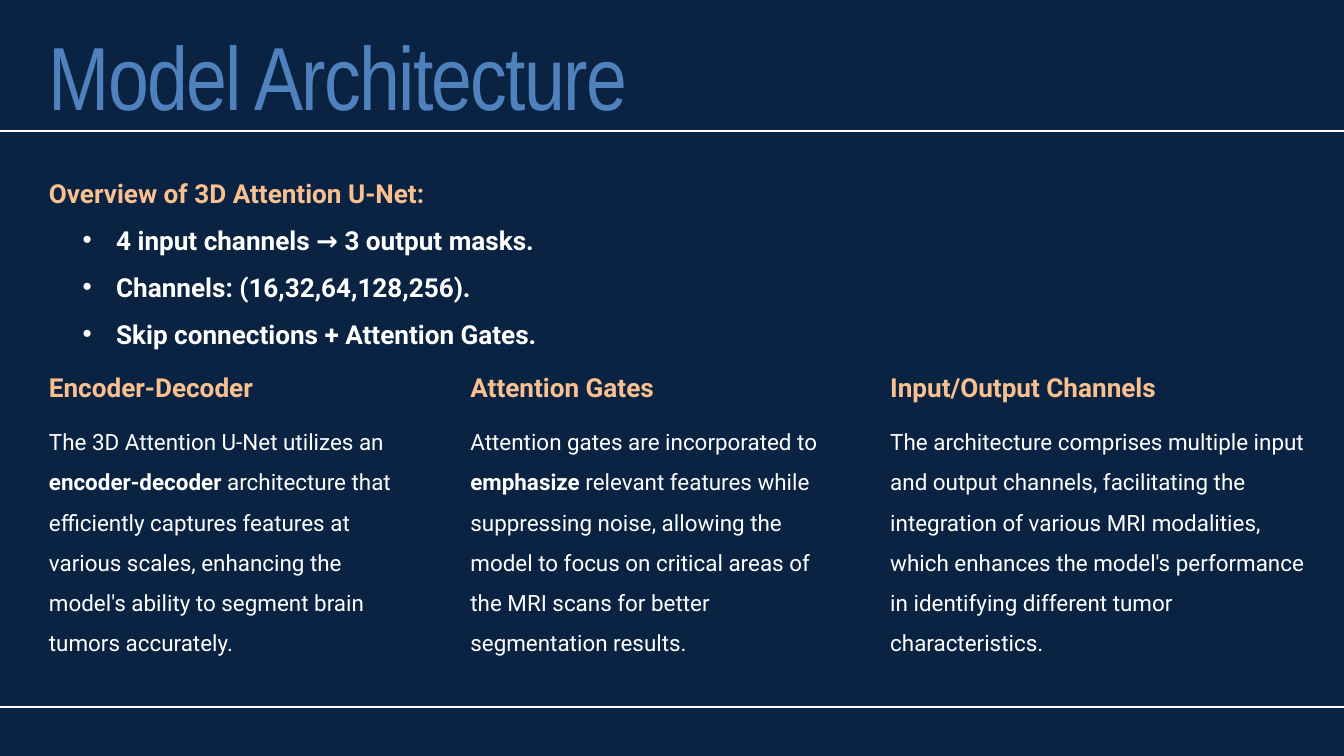
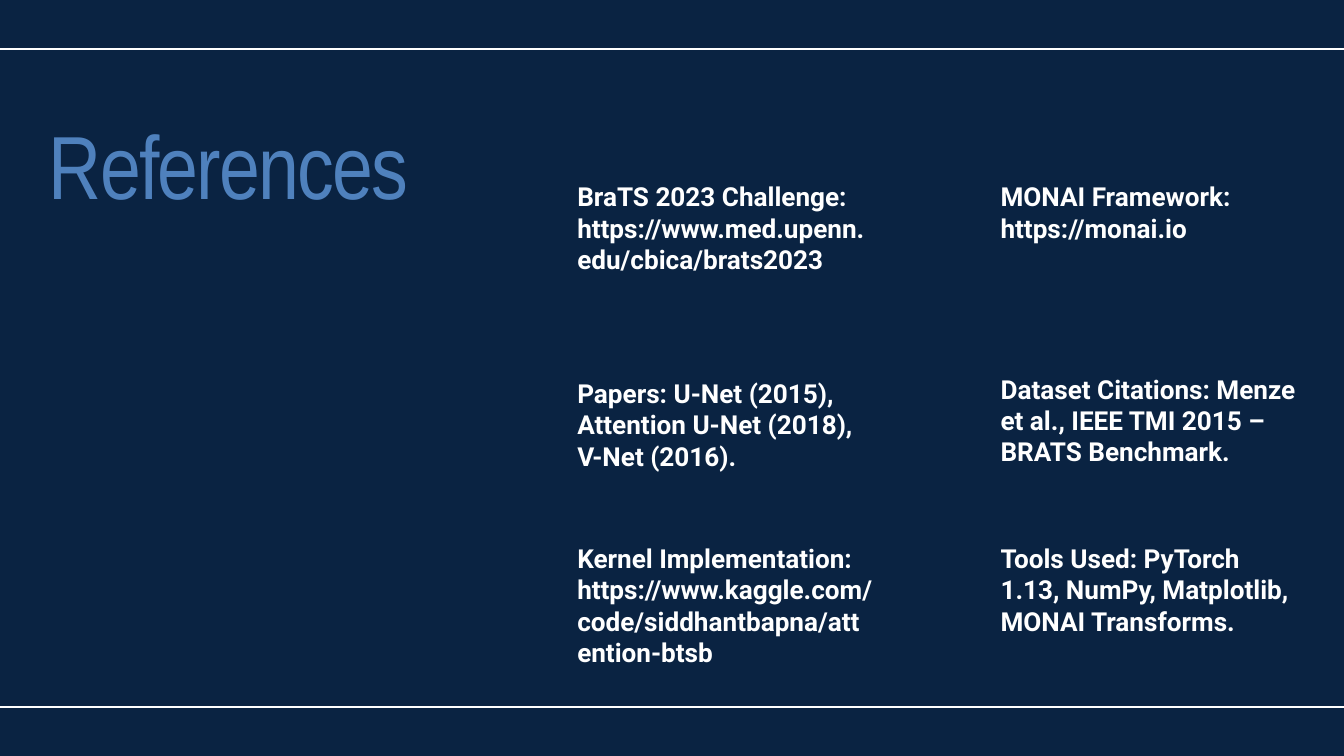
"""Build the model architecture and references slides."""
import pptx
import pptx.dml.color
import pptx.enum.shapes
import pptx.enum.text
import pptx.oxml.ns
import pptx.util
from lxml import etree

Cm = pptx.util.Cm
Pt = pptx.util.Pt
qn = pptx.oxml.ns.qn

HUES = {"navy": "0A2342", "blue": "4F81BD", "peach": "FAC090", "white": "FFFFFF"}
WIDE = 50.8
LEFT = 1.85
BASE = 26.73
SPAN = WIDE - 2 * LEFT
ROW = Pt(33.6)

PARTS = [
    (LEFT, 13.18, "Encoder-Decoder", [
        ("The 3D Attention U-Net utilizes an ", False),
        ("encoder-decoder", True),
        (" architecture that efficiently captures features at various scales, "
         "enhancing the model's ability to segment brain tumors accurately.", False)]),
    (17.78, 13.72, "Attention Gates", [
        ("Attention gates are incorporated to ", False),
        ("emphasize", True),
        (" relevant features while suppressing noise, allowing the model to focus "
         "on critical areas of the MRI scans for better segmentation results.", False)]),
    (33.65, 16.13, "Input/Output Channels", [
        ("The architecture comprises multiple input and output channels, "
         "facilitating the integration of various MRI modalities, which enhances "
         "the model's performance in identifying different tumor characteristics.", False)]),
]
POINTS = [
    "4 input channels → 3 output masks.",
    "Channels: (16,32,64,128,256).",
    "Skip connections + Attention Gates.",
]
CITES = {
    21.82: [
        (6.83, 3.51, "BraTS 2023 Challenge: https://www.med.upenn.edu/cbica/brats2023"),
        (14.27, 3.51, "Papers: U-Net (2015), Attention U-Net (2018), V-Net (2016)."),
        (20.5, 4.65, "Kernel Implementation: "
                     "https://www.kaggle.com/code/siddhantbapna/attention-btsb")],
    37.82: [
        (6.83, 2.34, "MONAI Framework: https://monai.io"),
        (14.1, 3.51, "Dataset Citations: Menze et al., IEEE TMI 2015 – BRATS Benchmark."),
        (20.5, 3.51, "Tools Used: PyTorch 1.13, NumPy, Matplotlib, MONAI Transforms.")],
}


def color(name):
    """Return the named colour."""
    return pptx.dml.color.RGBColor.from_string(HUES[name])


def add_page(deck):
    """Add a blank slide with the navy ground."""
    page = deck.slides.add_slide(deck.slide_layouts[6])
    fill = page.background.fill
    fill.solid()
    fill.fore_color.rgb = color("navy")
    return page


def add_box(shapes, left, top, width, height):
    """Add a text box without margins and return its frame."""
    frame = shapes.add_textbox(Cm(left), Cm(top), Cm(width), Cm(height)).text_frame
    frame.margin_left = frame.margin_right = 0
    frame.margin_top = frame.margin_bottom = 0
    frame.word_wrap = True
    frame.auto_size = pptx.enum.text.MSO_AUTO_SIZE.SHAPE_TO_FIT_TEXT
    return frame


def add_run(para, text, size, hue, bold=False, face="Roboto"):
    """Add one styled run to a paragraph."""
    run = para.add_run()
    run.text = text
    font = run.font
    font.name, font.size, font.bold = face, Pt(size), bold
    font.color.rgb = color(hue)
    return run


def add_head(shapes, text, left, top, width, height, hue="peach"):
    """Add a bold text block in 28 points."""
    para = add_box(shapes, left, top, width, height).paragraphs[0]
    para.line_spacing = ROW
    add_run(para, text, 28, hue, True)


def add_title(page, text, top, width):
    """Add the large slide title."""
    para = add_box(page.shapes, LEFT, top, width, 3.56).paragraphs[0]
    para.line_spacing = Pt(96)
    run = add_run(para, text, 96, "blue", face="Arial Narrow")
    run.font._element.set("spc", "-190")


def add_rule(page, top):
    """Add a thin white line across the slide."""
    kind = pptx.enum.shapes.MSO_CONNECTOR.STRAIGHT
    rule = page.shapes.add_connector(kind, 0, Cm(top), Cm(WIDE), Cm(top))
    rule.line.color.rgb = color("white")
    rule.line.width = Pt(1.5)
    etree.SubElement(rule._element.spPr, qn("a:effectLst"))


def add_part(page, left, width, head, runs):
    """Add a grouped column of heading and body."""
    shapes = page.shapes.add_group_shape().shapes
    add_head(shapes, head, left, 14.05, width, 1.22)
    para = add_box(shapes, left, 15.67, width, 9.09).paragraphs[0]
    para.line_spacing = 1.5
    for text, bold in runs:
        add_run(para, text, 24, "white", bold)


def add_list(page, head, points):
    """Add the overview heading with its bullets."""
    frame = add_box(page.shapes, LEFT, 6.1, SPAN, 7.04)
    para = frame.paragraphs[0]
    para.line_spacing = 1.5
    add_run(para, head, 28, "peach", True)
    for point in points:
        para = frame.add_paragraph()
        para.level = 1
        props = para._p.get_or_add_pPr()
        props.set("marL", str(Cm(2.54)))
        props.set("indent", str(-Cm(1.27)))
        etree.SubElement(props, qn("a:buFont")).set("typeface", "Arial")
        etree.SubElement(props, qn("a:buChar")).set("char", "•")
        para.line_spacing = 1.5
        add_run(para, point, 28, "white", True)


def add_model(deck):
    """Build the model architecture slide."""
    page = add_page(deck)
    for part in PARTS:
        add_part(page, *part)
    add_title(page, "Model Architecture", 1.45, SPAN)
    add_list(page, "Overview of 3D Attention U-Net:", POINTS)
    for top in (4.95, BASE):
        add_rule(page, top)


def add_refs(deck):
    """Build the references slide."""
    page = add_page(deck)
    add_title(page, "References", 4.85, 15.14)
    for left, cites in CITES.items():
        for top, height, text in cites:
            add_head(page.shapes, text, left, top, 11.15, height, "white")
    for top in (LEFT, BASE):
        add_rule(page, top)


def main():
    """Build and save the deck."""
    deck = pptx.Presentation()
    deck.slide_width = Cm(WIDE)
    deck.slide_height = Cm(WIDE * 9 / 16)
    add_model(deck)
    add_refs(deck)
    deck.save("out.pptx")


if __name__ == "__main__":
    main()
